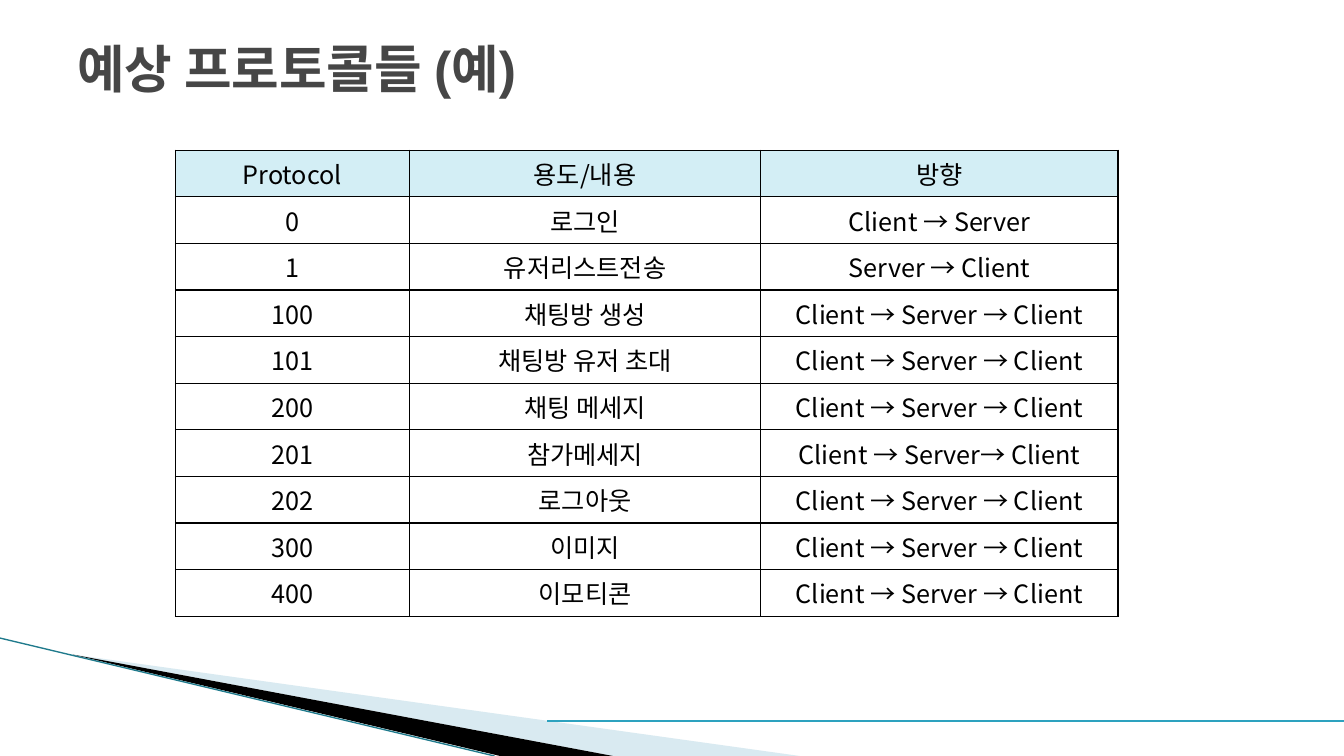
from lxml.etree import SubElement
from pptx import Presentation
from pptx.dml.color import RGBColor
from pptx.enum.shapes import MSO_CONNECTOR
from pptx.enum.text import MSO_ANCHOR, PP_ALIGN
from pptx.oxml.ns import qn
from pptx.util import Inches, Pt

WIDTH, HEIGHT = 13.33, 7.5
KOREAN_FONT = "Noto Sans CJK KR"
BLACK, TITLE_GREY, HEADER_BLUE = "000000", "464646", "D3EEF5"
WEDGE_BLUE, EDGE_TEAL, RULE_TEAL = "A0CBDC", "1F7A8C", "2DA2BF"

ROUND_TRIP = "Client → Server → Client"
HEADER = ("Protocol", "용도/내용", "방향")
PROTOCOLS = [
    ("0", "로그인", "Client → Server"),
    ("1", "유저리스트전송", "Server → Client"),
    ("100", "채팅방 생성", ROUND_TRIP),
    ("101", "채팅방 유저 초대", ROUND_TRIP),
    ("200", "채팅 메세지", ROUND_TRIP),
    ("201", "참가메세지", "Client → Server→ Client"),
    ("202", "로그아웃", ROUND_TRIP),
    ("300", "이미지", ROUND_TRIP),
    ("400", "이모티콘", ROUND_TRIP),
]


def color(hex_string):
    return RGBColor.from_string(hex_string)


def add_solid_fill(parent, hex_string):
    fill = SubElement(parent, qn("a:solidFill"))
    return SubElement(fill, qn("a:srgbClr"), val=hex_string)


def style_paragraph(paragraph, size, font_name, hex_string, bold=False):
    font = paragraph.font
    font.size, font.name, font.bold = Pt(size), font_name, bold
    font.color.rgb = color(hex_string)
    for run in paragraph.runs:
        properties = run._r.get_or_add_rPr()
        SubElement(properties, qn("a:ea"), typeface=KOREAN_FONT)


def set_borders(cell, hex_string, width):
    properties = cell._tc.get_or_add_tcPr()
    for position, side in enumerate(("lnL", "lnR", "lnT", "lnB")):
        border = SubElement(properties, qn(f"a:{side}"), w=str(Pt(width)))
        add_solid_fill(border, hex_string)
        properties.insert(position, border)  # borders come before the fill


def add_wedge(slide, box, points, hex_string, opacity=100):
    """Points are shares of the box."""
    left, top, width, height = box
    corners = [(Inches(left + x * width), Inches(top + y * height)) for x, y in points]
    builder = slide.shapes.build_freeform(*corners[0])
    builder.add_line_segments(corners[1:], close=True)
    wedge = builder.convert_to_shape()
    wedge.shadow.inherit = False
    wedge.fill.solid()
    wedge.fill.fore_color.rgb = color(hex_string)
    wedge.line.fill.background()
    if opacity < 100:
        tone = wedge._element.spPr.find(".//" + qn("a:srgbClr"))
        SubElement(tone, qn("a:alpha"), val=str(opacity * 1000))


def add_line(slide, start, end, hex_string, width):
    ends = [Inches(value) for value in (*start, *end)]
    line = slide.shapes.add_connector(MSO_CONNECTOR.STRAIGHT, *ends)
    line.line.color.rgb = color(hex_string)
    line.line.width = Pt(width)
    SubElement(line._element.spPr, qn("a:effectLst"))


def add_footer_decoration(slide, box):
    left, top, width, height = box
    bottom = top + height
    # Pale and black wedges share their upper left tip
    tip = (0.054, 0.14)
    add_wedge(slide, box, [tip, (0.595, 1), (0.456, 1)], WEDGE_BLUE, 40)
    add_wedge(slide, box, [tip, (0.456, 1), (0.372, 1)], BLACK)
    # Slanted edge and horizontal rule
    add_line(slide, (left, top), (left + 0.368 * width, bottom), EDGE_TEAL, 0.95)
    rule_y = top + 0.7 * height
    add_line(slide, (left + 0.407 * width, rule_y), (left + width, rule_y), RULE_TEAL, 1.5)


def add_title(slide, box, text):
    title = slide.shapes.title
    title.left, title.top, title.width, title.height = map(Inches, box)
    frame = title.text_frame
    frame.text = text
    frame.word_wrap = True
    frame.vertical_anchor = MSO_ANCHOR.MIDDLE
    paragraph = frame.paragraphs[0]
    paragraph.alignment = PP_ALIGN.LEFT
    style_paragraph(paragraph, 36.9, "Arial", TITLE_GREY, bold=True)


def add_protocol_table(slide, box, column_shares):
    rows = [HEADER, *PROTOCOLS]
    frame = slide.shapes.add_table(len(rows), len(HEADER), *map(Inches, box))
    table = frame.table
    table.horz_banding = False
    for column, share in zip(table.columns, column_shares):
        column.width = Inches(box[2] * share)
    for row_index, texts in enumerate(rows):
        for column_index, text in enumerate(texts):
            cell = table.cell(row_index, column_index)
            cell.text = text
            if row_index == 0:
                cell.fill.solid()
                cell.fill.fore_color.rgb = color(HEADER_BLUE)
            else:
                cell.fill.background()
            set_borders(cell, BLACK, 1)
            paragraph = cell.text_frame.paragraphs[0]
            paragraph.alignment = PP_ALIGN.CENTER
            style_paragraph(paragraph, 18, KOREAN_FONT, BLACK)


def build_protocol_slide(presentation):
    slide = presentation.slides.add_slide(presentation.slide_layouts[5])
    add_footer_decoration(slide, (0, 6.33, WIDTH, HEIGHT - 6.33))
    add_title(slide, (0.05 * WIDTH, 0.04 * HEIGHT, 0.9 * WIDTH, 0.74), "예상 프로토콜들 (예)")
    add_protocol_table(slide, (1.74, 1.49, 9.35, 4.06), (0.248, 0.373, 0.379))


presentation = Presentation()
presentation.slide_width, presentation.slide_height = Inches(WIDTH), Inches(HEIGHT)
build_protocol_slide(presentation)
presentation.save("out.pptx")
